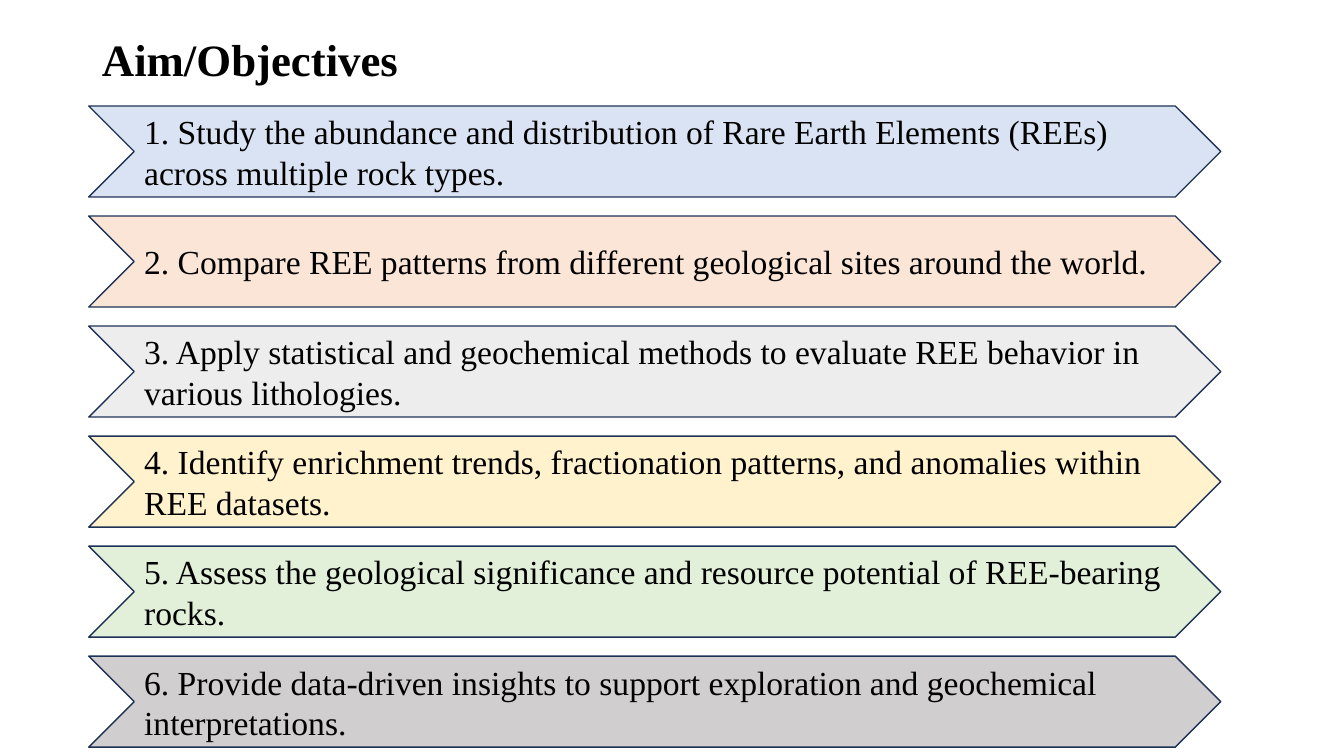
from pptx import Presentation
from pptx.dml.color import RGBColor
from pptx.enum.shapes import MSO_SHAPE
from pptx.enum.text import MSO_ANCHOR, MSO_AUTO_SIZE, PP_ALIGN
from pptx.util import Pt

CHEVRON = MSO_SHAPE.CHEVRON
TOP, MIDDLE = MSO_ANCHOR.TOP, MSO_ANCHOR.MIDDLE
LEFT = PP_ALIGN.LEFT
GROW = MSO_AUTO_SIZE.SHAPE_TO_FIT_TEXT

BLACK = RGBColor(0x00, 0x00, 0x00)
NAVY = RGBColor(0x1E, 0x32, 0x56)
BLUE = RGBColor(0xDA, 0xE3, 0xF3)
PEACH = RGBColor(0xFB, 0xE5, 0xD6)
SILVER = RGBColor(0xED, 0xED, 0xED)
YELLOW = RGBColor(0xFF, 0xF2, 0xCC)
GREEN = RGBColor(0xE2, 0xF0, 0xD9)
GREY = RGBColor(0xD0, 0xCE, 0xCE)

TITLE_FONT = {"name": "Times New Roman", "size": Pt(32), "bold": True}
BODY_FONT = {"name": "Times New Roman", "size": Pt(24), "bold": False}
TITLE_SPACING = {"alignment": LEFT, "line_spacing": 1.15,
                 "space_before": Pt(12), "space_after": Pt(8)}
BODY_SPACING = {"alignment": LEFT}

FIRST_TOP, PITCH = 75.7, 78.6
OBJECTIVES = [
    ("1. Study the abundance and distribution of Rare Earth Elements (REEs) "
     "across multiple rock types.", BLUE),
    ("2. Compare REE patterns from different geological sites around the world.",
     PEACH),
    ("3. Apply statistical and geochemical methods to evaluate REE behavior in "
     "various lithologies.", SILVER),
    ("4. Identify enrichment trends, fractionation patterns, and anomalies within "
     "REE datasets.", YELLOW),
    ("5. Assess the geological significance and resource potential of REE-bearing "
     "rocks.", GREEN),
    ("6. Provide data-driven insights to support exploration and geochemical "
     "interpretations.", GREY),
]


def apply(target, values):
    """Set each named attribute on the target."""
    for name, value in values.items():
        setattr(target, name, value)


def write_text(box, text, font, spacing, anchor):
    """Fill a box with one formatted paragraph."""
    apply(box.text_frame, {"word_wrap": True, "vertical_anchor": anchor})
    para = box.text_frame.paragraphs[0]
    apply(para, spacing)
    span = para.add_run()
    span.text = text
    apply(span.font, font)
    span.font.color.rgb = BLACK


def add_title(page, text):
    """Place and format the title placeholder."""
    box = page.shapes.title
    apply(box, {"left": Pt(65.6), "top": Pt(13), "width": Pt(457.6), "height": Pt(49)})
    write_text(box, text, TITLE_FONT, TITLE_SPACING, TOP)
    box.text_frame.auto_size = GROW


def add_objective(page, top, text, color):
    """Draw one chevron holding an objective."""
    box = page.shapes.add_shape(CHEVRON, Pt(63.4), Pt(top), Pt(808.6), Pt(65))
    box.shadow.inherit = False
    box.fill.solid()
    box.fill.fore_color.rgb = color
    box.line.color.rgb = NAVY
    box.line.width = Pt(1)
    write_text(box, text, BODY_FONT, BODY_SPACING, MIDDLE)


def main():
    """Build the objectives slide and save it."""
    deck = Presentation()
    apply(deck, {"slide_width": Pt(960), "slide_height": Pt(540)})
    page = deck.slides.add_slide(deck.slide_layouts[5])
    add_title(page, "Aim/Objectives")
    for index, (text, color) in enumerate(OBJECTIVES):
        add_objective(page, FIRST_TOP + index * PITCH, text, color)
    deck.save("out.pptx")


if __name__ == "__main__":
    main()
